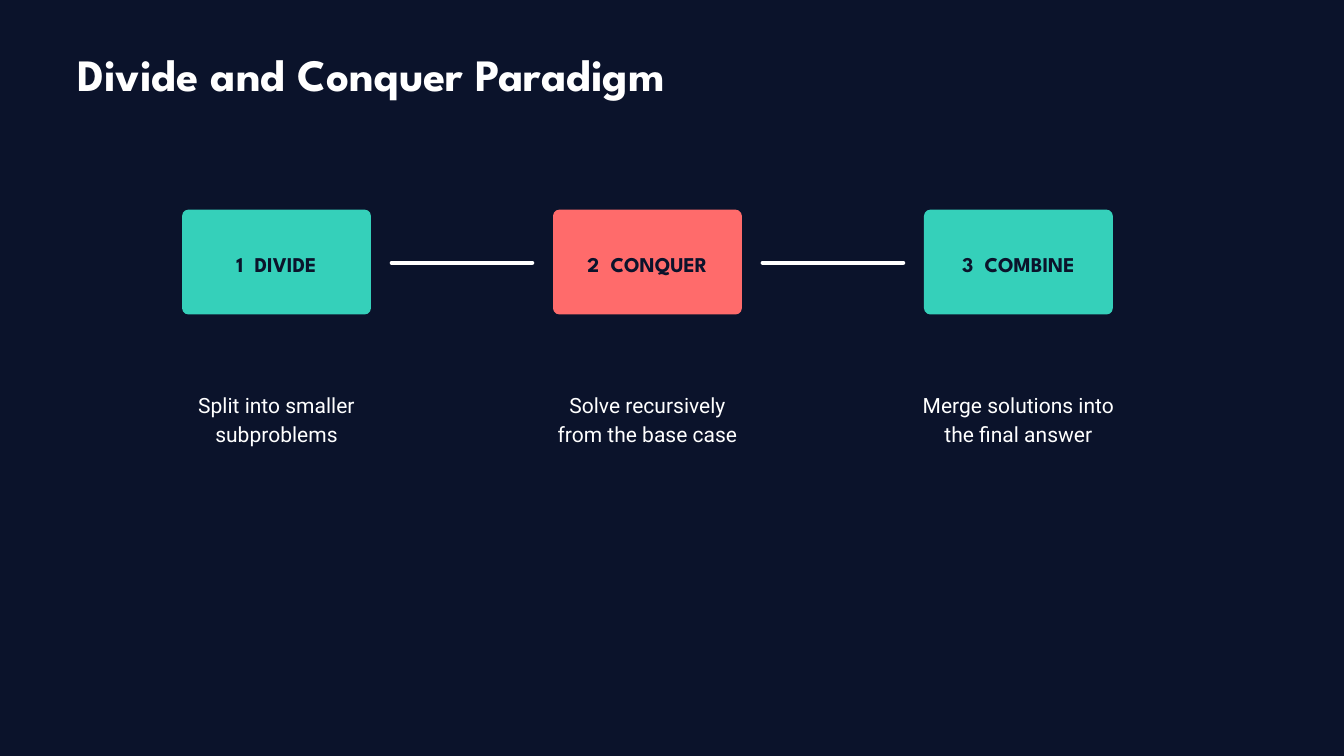
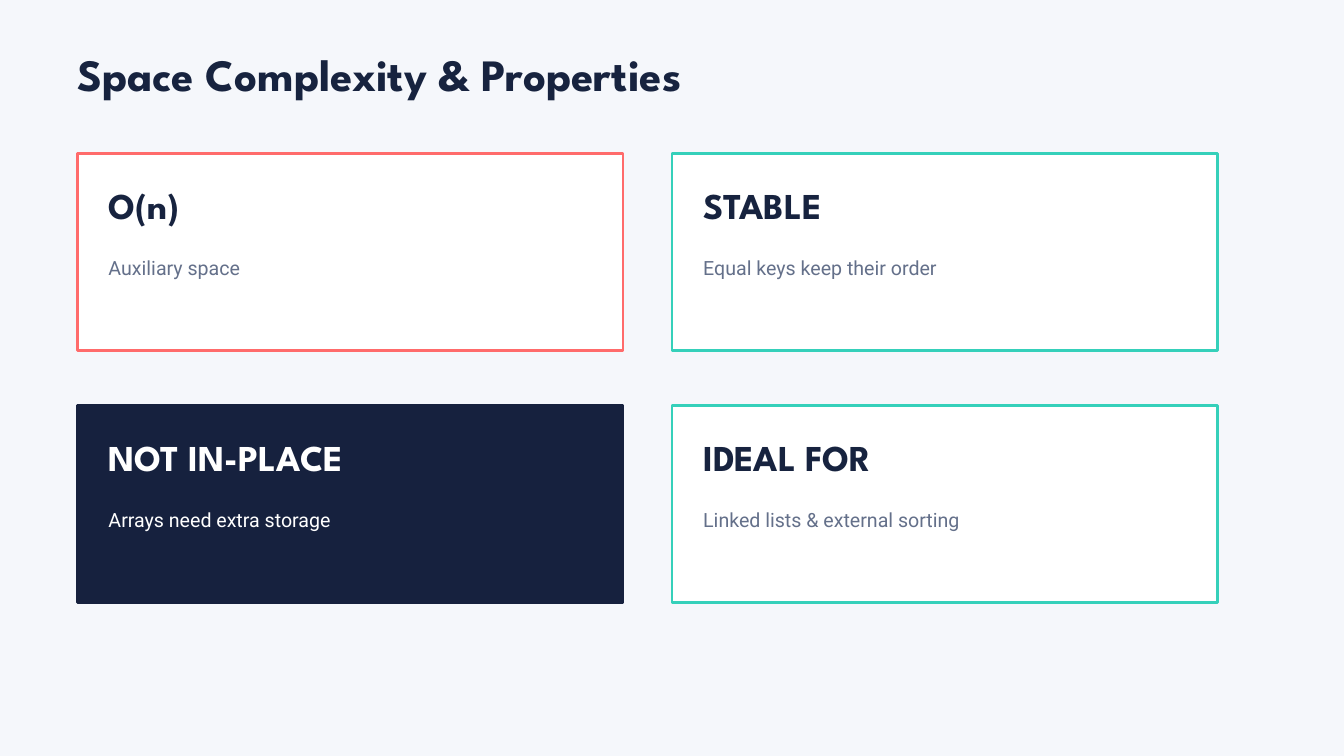
from lxml import etree
from pptx import Presentation
from pptx.dml.color import RGBColor
from pptx.enum.shapes import MSO_CONNECTOR, MSO_SHAPE
from pptx.enum.text import MSO_ANCHOR, PP_ALIGN
from pptx.oxml.ns import qn
from pptx.util import Inches, Pt

COLORS = {
    "night": "0B132B",
    "mist": "F5F7FB",
    "ink": "17233F",
    "navy": "16213E",
    "slate": "64708A",
    "white": "FFFFFF",
    "teal": "35D0BA",
    "coral": "FF6B6B",
}
HEADING = "League Spartan"
BODY = "Roboto"


def color(name):
    return RGBColor.from_string(COLORS[name])


def write_text(shape, text, *, size, leading, fill, font=BODY, align=PP_ALIGN.LEFT,
               anchor=MSO_ANCHOR.TOP, margin=0, lead=""):
    frame = shape.text_frame
    frame.word_wrap = True
    frame.vertical_anchor = anchor
    frame.margin_left = frame.margin_right = Inches(margin)
    frame.margin_top = frame.margin_bottom = Inches(margin)
    for index, line in enumerate(text.split("\n")):
        para = frame.add_paragraph() if index else frame.paragraphs[0]
        para.alignment = align
        para.line_spacing = Pt(leading)
        for part in filter(None, (lead, line)):
            span = para.add_run()
            span.text = part
            span.font.name = font
            span.font.size = Pt(size)
            span.font.bold = font == HEADING
            span.font.color.rgb = color(fill)
            if part == lead:
                span.font._element.set("spc", "300")


deck = Presentation()
deck.slide_width = Inches(20)
deck.slide_height = Inches(11.25)

pages = []
for title, background, title_color in (
    ("Divide and Conquer Paradigm", "night", "white"),
    ("Space Complexity & Properties", "mist", "ink"),
):
    page = deck.slides.add_slide(deck.slide_layouts[6])
    page.background.fill.solid()
    page.background.fill.fore_color.rgb = color(background)
    box = page.shapes.add_textbox(Inches(1.15), Inches(0.82), Inches(15.62), Inches(0.7))
    write_text(box, title, size=48, leading=49, fill=title_color, font=HEADING)
    pages.append(page)
steps_page, properties_page = pages

STEPS = (
    ("DIVIDE", "Split into smaller\nsubproblems", "teal"),
    ("CONQUER", "Solve recursively\nfrom the base case", "coral"),
    ("COMBINE", "Merge solutions into\nthe final answer", "teal"),
)
STEP_LEFT, STEP_TOP, STEP_PITCH = 2.71, 3.12, 5.52
STEP_WIDTH, STEP_HEIGHT = 2.81, 1.56
CAPTION_WIDTH, LINK_GAP, LINK_Y = 4.48, 0.31, 3.91

for index, (label, caption, fill) in enumerate(STEPS):
    left = STEP_LEFT + index * STEP_PITCH
    step = steps_page.shapes.add_shape(
        MSO_SHAPE.ROUNDED_RECTANGLE,
        Inches(left), Inches(STEP_TOP), Inches(STEP_WIDTH), Inches(STEP_HEIGHT),
    )
    step.shadow.inherit = False
    step.adjustments[0] = 0.06
    step.fill.solid()
    step.fill.fore_color.rgb = color(fill)
    step.line.fill.background()
    write_text(step, label, lead=f"{index + 1} ", size=22.5, leading=31.5, fill="night",
               font=HEADING, align=PP_ALIGN.CENTER, anchor=MSO_ANCHOR.MIDDLE, margin=0.06)

    caption_left = left + (STEP_WIDTH - CAPTION_WIDTH) / 2
    box = steps_page.shapes.add_textbox(
        Inches(caption_left), Inches(5.8), Inches(CAPTION_WIDTH), Inches(0.82))
    write_text(box, caption, size=22.5, leading=30.4, fill="white", align=PP_ALIGN.CENTER)

    if index < len(STEPS) - 1:
        link = steps_page.shapes.add_connector(
            MSO_CONNECTOR.STRAIGHT,
            Inches(left + STEP_WIDTH + LINK_GAP), Inches(LINK_Y),
            Inches(left + STEP_PITCH - LINK_GAP), Inches(LINK_Y),
        )
        link.line.color.rgb = color("white")
        link.line.width = Pt(4.5)
        properties = link._element.spPr
        properties.find(qn("a:ln")).set("cap", "rnd")
        etree.SubElement(properties, qn("a:effectLst"))

CARDS = (
    ("O(n)", "Auxiliary space", "white", "coral", "ink", "slate"),
    ("STABLE", "Equal keys keep their order", "white", "teal", "ink", "slate"),
    ("NOT IN-PLACE", "Arrays need extra storage", "navy", "navy", "white", "white"),
    ("IDEAL FOR", "Linked lists & external sorting", "white", "teal", "ink", "slate"),
)
CARD_LEFT, CARD_TOP = 1.15, 2.29
CARD_WIDTH, CARD_HEIGHT = 8.12, 2.92
COLUMN_PITCH, ROW_PITCH = 8.85, 3.75
CARD_INSET, CARD_TEXT_WIDTH = 0.465, 6.77

for index, (heading, detail, fill, border, heading_color, detail_color) in enumerate(CARDS):
    row, column = divmod(index, 2)
    left = CARD_LEFT + column * COLUMN_PITCH
    top = CARD_TOP + row * ROW_PITCH
    card = properties_page.shapes.add_shape(
        MSO_SHAPE.RECTANGLE,
        Inches(left), Inches(top), Inches(CARD_WIDTH), Inches(CARD_HEIGHT),
    )
    card.shadow.inherit = False
    card.fill.solid()
    card.fill.fore_color.rgb = color(fill)
    card.line.color.rgb = color(border)
    card.line.width = Pt(3)

    text_left = Inches(left + CARD_INSET)
    box = properties_page.shapes.add_textbox(
        text_left, Inches(top + 0.53), Inches(CARD_TEXT_WIDTH), Inches(0.59))
    write_text(box, heading, size=39, leading=39.8, fill=heading_color, font=HEADING)
    box = properties_page.shapes.add_textbox(
        text_left, Inches(top + 1.48), Inches(CARD_TEXT_WIDTH), Inches(0.37))
    write_text(box, detail, size=21, leading=28.4, fill=detail_color)

deck.save("out.pptx")
